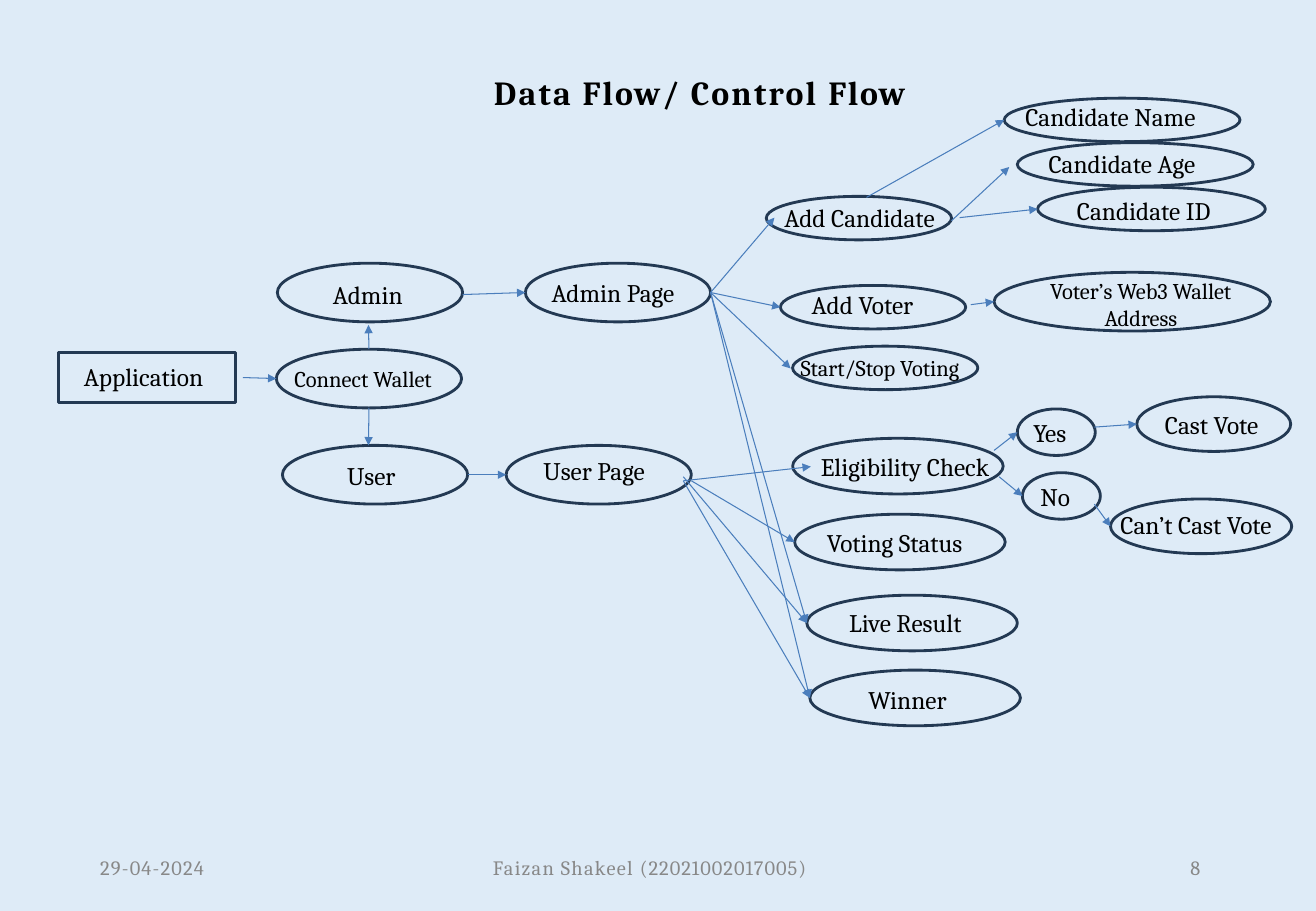
from lxml.etree import SubElement
from pptx import Presentation
from pptx.dml.color import RGBColor
from pptx.enum.shapes import MSO_CONNECTOR as Connector, MSO_SHAPE as Shape
from pptx.enum.text import MSO_ANCHOR as Anchor, PP_ALIGN as Align
from pptx.oxml.ns import qn
from pptx.util import Emu, Pt

PX = 9144
FONT = "Cambria"
SKY = RGBColor(0xDE, 0xEB, 0xF7)
NAVY = RGBColor(0x23, 0x39, 0x53)
BLUE = RGBColor(0x4B, 0x7E, 0xBC)
BLACK = RGBColor(0, 0, 0)
GRAY = RGBColor(0x88, 0x88, 0x88)

TITLE_BOX = (487, 71, 430, 43)
TITLE = [("Data ", 160), ("Flow/ ", 140), ("Control ", 160), ("Flow", 120)]

# label, outline (left, top, width, height), label (left, top, width), text size
NODES = [
    ("Application", (58, 348, 175, 50), (73, 352, 167), 18),
    ("Connect Wallet", (273, 345, 183, 58), (281, 356, 167), 16),
    ("Admin", (274, 260, 183, 58), (319, 271, 167), 18),
    ("User", (279, 440, 183, 58), (333, 450, 83), 18),
    ("Admin Page", (519, 260, 183, 58), (535, 269, 167), 18),
    ("User Page", (500, 440, 183, 58), (527, 445, 167), 18),
    ("Add Candidate", (757, 194, 183, 43), (765, 195, 183), 18),
    ("Add Voter", (771, 282, 183, 43), (792, 281, 167), 18),
    ("Start/Stop Voting", (783, 342, 183, 43), (781, 345, 270), 16),
    ("Candidate Name", (992, 97, 233, 43), (1003, 95, 206), 18),
    ("Candidate Age", (1005, 141, 233, 43), (1026, 142, 210), 18),
    ("Candidate ID", (1025, 185, 225, 43), (1054, 188, 167), 18),
    ("Voter’s Web3 Wallet\nAddress", (982, 269, 273, 58), (1005, 269, 244), 16),
    ("Eligibility Check", (783, 433, 208, 55), (801, 441, 199), 18),
    ("Voting Status", (785, 508, 208, 55), (807, 516, 166), 18),
    ("Live Result", (797, 588, 208, 55), (829, 595, 181), 18),
    ("Winner", (800, 662, 208, 55), (848, 671, 181), 18),
    ("Yes", (1005, 404, 77, 46), (1011, 407, 83), 18),
    ("No", (1010, 467, 77, 46), (1018, 471, 83), 18),
    ("Cast Vote", (1123, 392, 152, 54), (1141, 399, 126), 18),
    ("Can’t Cast Vote", (1097, 493, 179, 54), (1097, 498, 179), 18),
]

ARROWS = [
    ((856, 195), ("Candidate Name", "left")),
    ((940, 218), (997, 165)),
    ((948, 215), ("Candidate ID", "left")),
    ((240, 373), ("Connect Wallet", "left")),
    (("Connect Wallet", "top"), (364, 321)),
    (("Connect Wallet", "bottom"), (364, 440)),
    ((457, 291), ("Admin Page", "left")),
    (("Admin Page", "right"), (765, 215)),
    (("Admin Page", "right"), ("Add Voter", "left")),
    (("Admin Page", "right"), (781, 364)),
    (("Admin Page", "right"), ("Live Result", "left")),
    (("Admin Page", "right"), ("Winner", "left")),
    (("User", "right"), ("User Page", "left")),
    ((959, 301), ("Voter’s Web3 Wallet\nAddress", "left")),
    ((982, 445), ("Yes", "left")),
    ((987, 471), ("No", "left")),
    ((1081, 422), ("Cast Vote", "left")),
    ((1081, 498), ("Can’t Cast Vote", "left")),
    ((683, 475), ("Voting Status", "left")),
    ((675, 475), (801, 461)),
    ((675, 471), ("Live Result", "left")),
    ((675, 475), ("Winner", "left")),
]

FOOTERS = [
    ((98, 845, 118, 24), 1, [("29", 80), ("-", 90), ("04", 80), ("-", 90), ("2024", 80)]),
    ((486, 845, 473, 24), 1, [("Faizan Shakeel ", 90), ("(22021002017005", 70), (")", -10)]),
    ((1172, 845, 33, 26), 4, [("8", 90)]),
]

OUTLINES = {label: outline for label, outline, place, size in NODES}


def px(*lengths):
    """Turn pixel lengths into EMU."""
    return [Emu(round(length * PX)) for length in lengths]


def style(span, size, color, bold=False):
    """Set the font of one run."""
    span.font.name, span.font.size, span.font.bold = FONT, Pt(size), bold
    span.font.color.rgb = color


def write_spaced(box, pieces, indent, before, size, color, bold=False):
    """Write one line of runs, each with its own letter spacing."""
    frame = box.text_frame
    frame.word_wrap = True
    frame.vertical_anchor = Anchor.TOP
    frame.margin_left, frame.margin_top, frame.margin_right, frame.margin_bottom = px(indent, 0, 0, 0)
    para = frame.paragraphs[0]
    para.alignment = Align.LEFT
    para.space_before = Pt(before)
    for text, spacing in pieces:
        span = para.add_run()
        span.text = text
        style(span, size, color, bold)
        span.font._element.set("spc", str(spacing))


def add_node(page, label, outline, place, size):
    """Draw one outlined node and its label."""
    kind = Shape.RECTANGLE if label == "Application" else Shape.OVAL
    node = page.shapes.add_shape(kind, *px(*outline))
    node.shadow.inherit = False
    node.fill.background()
    node.line.color.rgb = NAVY
    node.line.width = Pt(2)

    lines = label.count("\n") + 1
    box = page.shapes.add_textbox(*px(*place, 10 + lines * round(size * 5 / 3)))
    box.text_frame.word_wrap = True
    box.text_frame.text = label
    for para in box.text_frame.paragraphs:
        para.alignment = Align.CENTER if lines > 1 else Align.LEFT
        style(para.runs[0], size, BLACK)


def locate(end):
    """Return the point for a node side or a plain position."""
    if end[0] not in OUTLINES:
        return end
    left, top, width, height = OUTLINES[end[0]]
    across, down = {"top": (0.5, 0), "left": (0, 0.5), "bottom": (0.5, 1), "right": (1, 0.5)}[end[1]]
    return left + across * width, top + down * height


def add_arrow(page, start, finish):
    """Draw one straight arrow."""
    arrow = page.shapes.add_connector(Connector.STRAIGHT, *px(*locate(start), *locate(finish)))
    arrow.line.color.rgb = BLUE
    arrow.line.width = Pt(0.75)
    SubElement(arrow.line._get_or_add_ln(), qn("a:tailEnd"), type="triangle")
    SubElement(arrow._element.spPr, qn("a:effectLst"))


def main():
    """Build the flow slide."""
    deck = Presentation()
    deck.slide_width, deck.slide_height = px(1300, 900)
    page = deck.slides.add_slide(deck.slide_layouts[5])
    page.background.fill.solid()
    page.background.fill.fore_color.rgb = SKY

    title = page.shapes.title
    title.left, title.top, title.width, title.height = px(*TITLE_BOX)
    write_spaced(title, TITLE, 1, 1, 24, BLACK, True)
    for place, indent, pieces in FOOTERS:
        write_spaced(page.shapes.add_textbox(*px(*place)), pieces, indent, 0.1, 14.5, GRAY)
    for node in NODES:
        add_node(page, *node)
    for start, finish in ARROWS:
        add_arrow(page, start, finish)
    deck.save("out.pptx")


if __name__ == "__main__":
    main()
